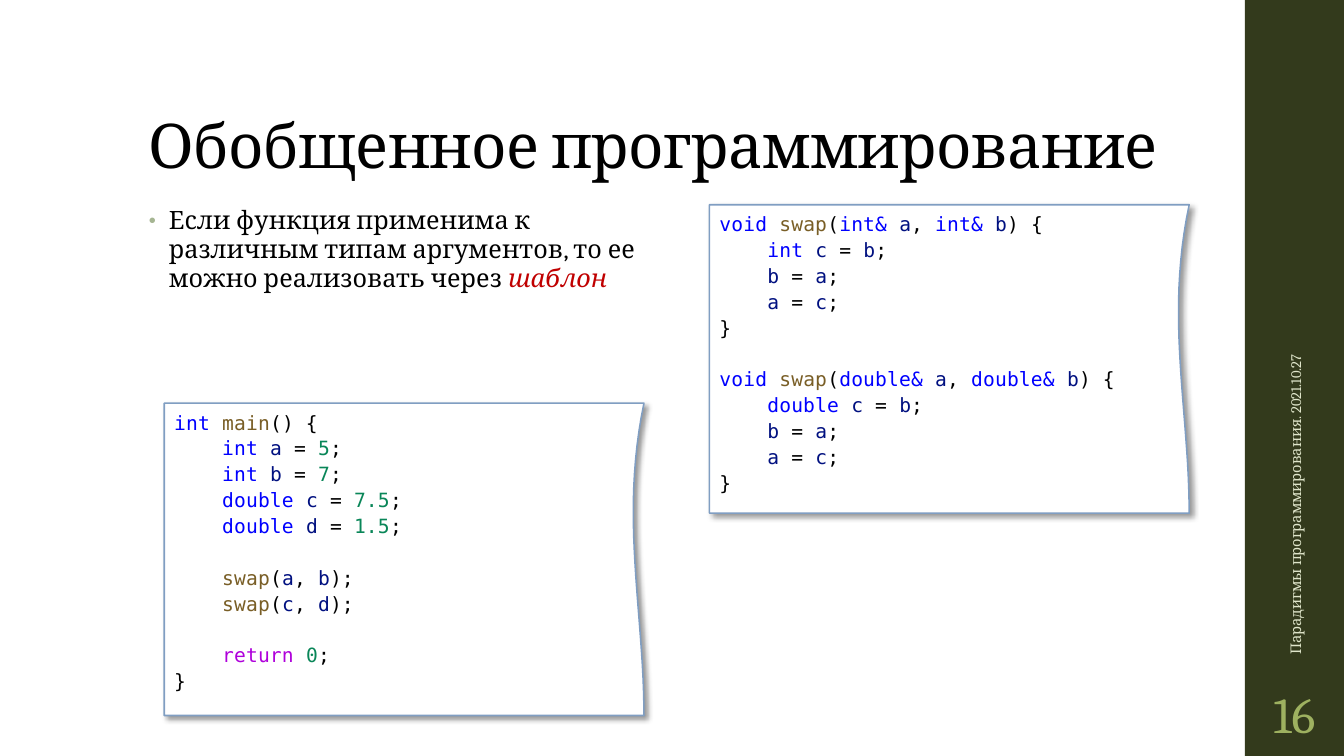
from itertools import groupby
from lxml import etree
from pptx import Presentation
from pptx.dml.color import RGBColor
from pptx.enum.shapes import MSO_SHAPE
from pptx.enum.text import MSO_ANCHOR, MSO_AUTO_SIZE, PP_ALIGN
from pptx.oxml.ns import qn
from pptx.util import Cm, Pt

RECTANGLE = MSO_SHAPE.RECTANGLE
TOP, MIDDLE, BOTTOM = MSO_ANCHOR.TOP, MSO_ANCHOR.MIDDLE, MSO_ANCHOR.BOTTOM
LEFT, CENTER = PP_ALIGN.LEFT, PP_ALIGN.CENTER
NO_AUTOFIT = MSO_AUTO_SIZE.NONE

BLACK = RGBColor(0x00, 0x00, 0x00)
WHITE = RGBColor(0xFF, 0xFF, 0xFF)
RED = RGBColor(0xC0, 0x00, 0x00)
OLIVE = RGBColor(0x33, 0x3A, 0x1C)
PALE_GREEN = RGBColor(0xDF, 0xE5, 0xCA)
GREEN = RGBColor(0x9E, 0xB1, 0x60)
BULLET_GREEN = RGBColor(0xA5, 0xB5, 0x92)
PANEL_BLUE = RGBColor(0x80, 0x9E, 0xC2)
TYPE_BLUE = RGBColor(0x00, 0x00, 0xFF)
NAME_BROWN = RGBColor(0x79, 0x5E, 0x26)
VARIABLE_NAVY = RGBColor(0x00, 0x10, 0x80)
NUMBER_GREEN = RGBColor(0x09, 0x86, 0x58)
RETURN_PURPLE = RGBColor(0xAF, 0x00, 0xDB)

SERIF, MONO = "Cambria", "DejaVu Sans Mono"

TITLE = "Обобщенное программирование"
BODY = [
    ("Если функция применима к различным типам аргументов, "
     "то ее можно реализовать через ", {}),
    ("шаблон", {"color": RED, "italic": True}),
]
FOOTER = "Парадигмы программирования. 2021.10.27"
PAGE_NUMBER = "16"

SWAP_CODE = """void swap(int& a, int& b) {
    int c = b;
    b = a;
    a = c;
}

void swap(double& a, double& b) {
    double c = b;
    b = a;
    a = c;
}"""
MAIN_CODE = """int main() {
    int a = 5;
    int b = 7;
    double c = 7.5;
    double d = 1.5;

    swap(a, b);
    swap(c, d);

    return 0;
}"""
PANELS = [
    (SWAP_CODE, 17.88, 5.16, 12.09, 7.77),
    (MAIN_CODE, 4.14, 10.16, 12.09, 7.87),
]
WORD_COLORS = {
    **dict.fromkeys(("void", "int", "int&", "double", "double&"), TYPE_BLUE),
    **dict.fromkeys(("swap", "main"), NAME_BROWN),
    "return": RETURN_PURPLE,
}
CURVE = [(1, 0), (0.95, 0.366), (1, 0.667), (1, 1)]
CURVE_STEPS = 24
CODE_LINE = 18.4


def apply_format(target, values):
    for name, value in values.items():
        setattr(target, name, value)


def add_span(para, text, font, size, color, spacing=0, italic=False):
    span = para.add_run()
    span.text = text
    apply_format(span.font, {"name": font, "size": Pt(size), "italic": italic})
    span.font.color.rgb = color
    if spacing:
        span.font._element.set("spc", str(spacing))


def place(box, left, top, width, height, anchor=TOP):
    apply_format(box, {"left": Cm(left), "top": Cm(top),
                       "width": Cm(width), "height": Cm(height)})
    apply_format(box.text_frame, {"word_wrap": True, "auto_size": NO_AUTOFIT,
                                  "vertical_anchor": anchor})
    return box.text_frame.paragraphs[0]


def add_label(page, area, text, size, color, align, margin, rotation=0):
    box = page.shapes.add_textbox(0, 0, 0, 0)
    para = place(box, *area, MIDDLE)
    box.rotation = rotation
    apply_format(box.text_frame, {"margin_left": Cm(margin),
                                  "margin_right": Cm(margin)})
    para.alignment = align
    add_span(para, text, SERIF, size, color)


def add_bullet(para):
    properties = para._p.get_or_add_pPr()
    properties.set("marL", str(Cm(0.5)))
    properties.set("indent", str(-Cm(0.5)))
    color = etree.SubElement(properties, qn("a:buClr"))
    etree.SubElement(color, qn("a:srgbClr"), val=str(BULLET_GREEN))
    etree.SubElement(properties, qn("a:buSzPct"), val="80000")
    etree.SubElement(properties, qn("a:buChar"), char="•")


def add_shadow(shape):
    shape.shadow.inherit = False
    effects = shape._element.spPr.find(qn("a:effectLst"))
    shadow = etree.SubElement(effects, qn("a:outerShdw"), blurRad=str(Pt(4)),
                              dist=str(Pt(3)), dir="2700000", algn="tl", rotWithShape="0")
    color = etree.SubElement(shadow, qn("a:srgbClr"), val=str(BLACK))
    etree.SubElement(color, qn("a:alpha"), val="40000")


def curve_point(step):
    t = step / CURVE_STEPS
    weights = ((1 - t) ** 3, 3 * t * (1 - t) ** 2, 3 * t * t * (1 - t), t ** 3)
    return [sum(w * point[axis] for w, point in zip(weights, CURVE)) for axis in (0, 1)]


def word_color(word):
    if word[0].isdigit():
        return NUMBER_GREEN
    return WORD_COLORS.get(word, VARIABLE_NAVY)


def is_word_character(character):
    return character.isalnum() or character in ".&"


def write_code(frame, code):
    para, gap = frame.paragraphs[0], 0
    for number, line in enumerate(code.splitlines()):
        if not line:
            gap = CODE_LINE
            continue
        if number:
            para = frame.add_paragraph()
        apply_format(para, {"alignment": LEFT, "line_spacing": 1.1,
                            "space_before": Pt(gap)})
        gap = 0
        for is_word, characters in groupby(line, is_word_character):
            text = "".join(characters)
            add_span(para, text, MONO, 14, word_color(text) if is_word else BLACK, 10)


def add_code_panel(page, code, left, top, width, height):
    edge = [curve_point(step) for step in range(CURVE_STEPS + 1)]
    outline = [(Cm(left + x * width), Cm(top + y * height)) for x, y in edge + [(0, 1)]]
    builder = page.shapes.build_freeform(Cm(left), Cm(top))
    builder.add_line_segments(outline, close=True)
    panel = builder.convert_to_shape()
    panel.fill.solid()
    panel.fill.fore_color.rgb = WHITE
    panel.line.color.rgb = PANEL_BLUE
    panel.line.width = Pt(1.1)
    add_shadow(panel)
    apply_format(panel.text_frame, {"word_wrap": True, "vertical_anchor": TOP})
    write_code(panel.text_frame, code)


def main():
    deck = Presentation()
    deck.slide_width, deck.slide_height = Cm(33.87), Cm(19.05)
    page = deck.slides.add_slide(deck.slide_layouts[1])

    sidebar = page.shapes.add_shape(RECTANGLE, Cm(31.37), 0, Cm(2.5), deck.slide_height)
    sidebar.fill.solid()
    sidebar.fill.fore_color.rgb = OLIVE
    sidebar.line.fill.background()
    sidebar.shadow.inherit = False

    heading = place(page.shapes.title, 3.5, 1.02, 26.92, 3.68, BOTTOM)
    apply_format(heading, {"alignment": LEFT, "line_spacing": 0.9})
    add_span(heading, TITLE, SERIF, 44, BLACK, -50)

    point = place(page.placeholders[1], 3.5, 5.08, 13.74, 12.09)
    add_bullet(point)
    apply_format(point, {"line_spacing": 0.95, "space_before": Pt(0), "space_after": Pt(2)})
    for text, changes in BODY:
        add_span(point, text, **{"font": SERIF, "size": 18, "color": BLACK,
                                 "spacing": 10, **changes})

    add_label(page, (27.66, 11.25, 9.96, 1.02), FOOTER, 10.5, PALE_GREEN, LEFT, 0.25, 270)
    add_label(page, (31.37, 17.15, 2.5, 1.65), PAGE_NUMBER, 36, GREEN, CENTER, 0.13)
    for panel in PANELS:
        add_code_panel(page, *panel)

    deck.save("out.pptx")


if __name__ == "__main__":
    main()
